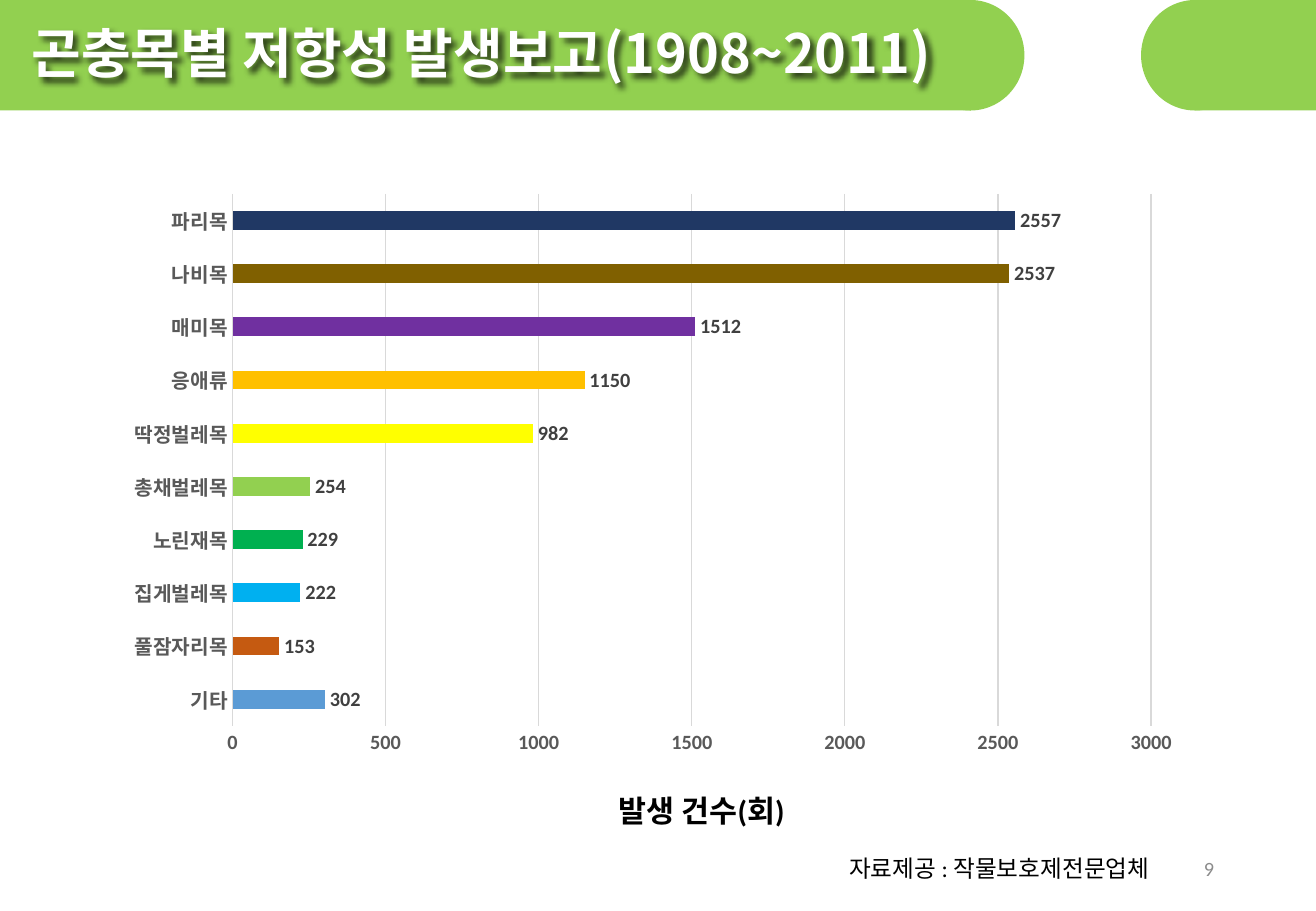
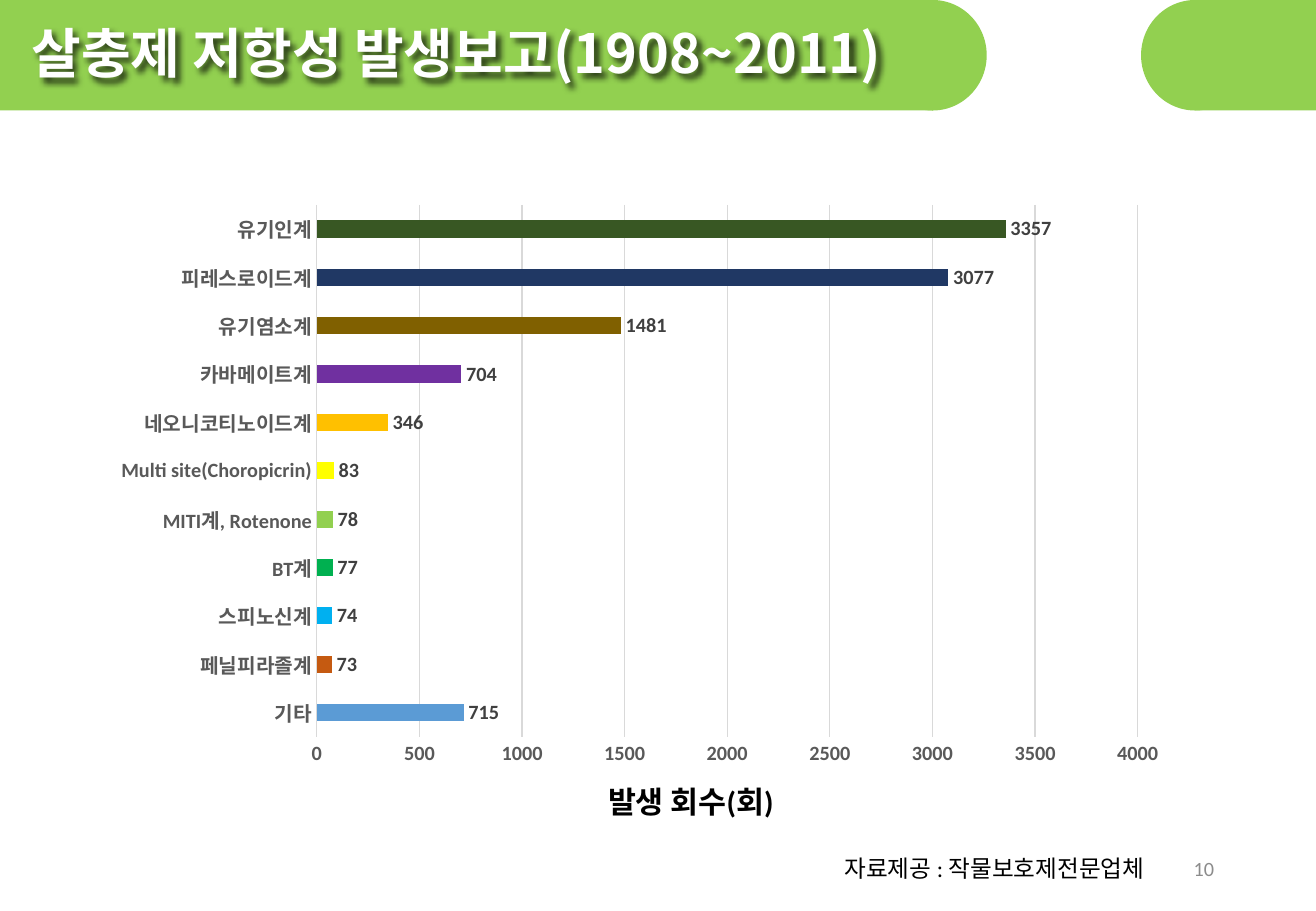
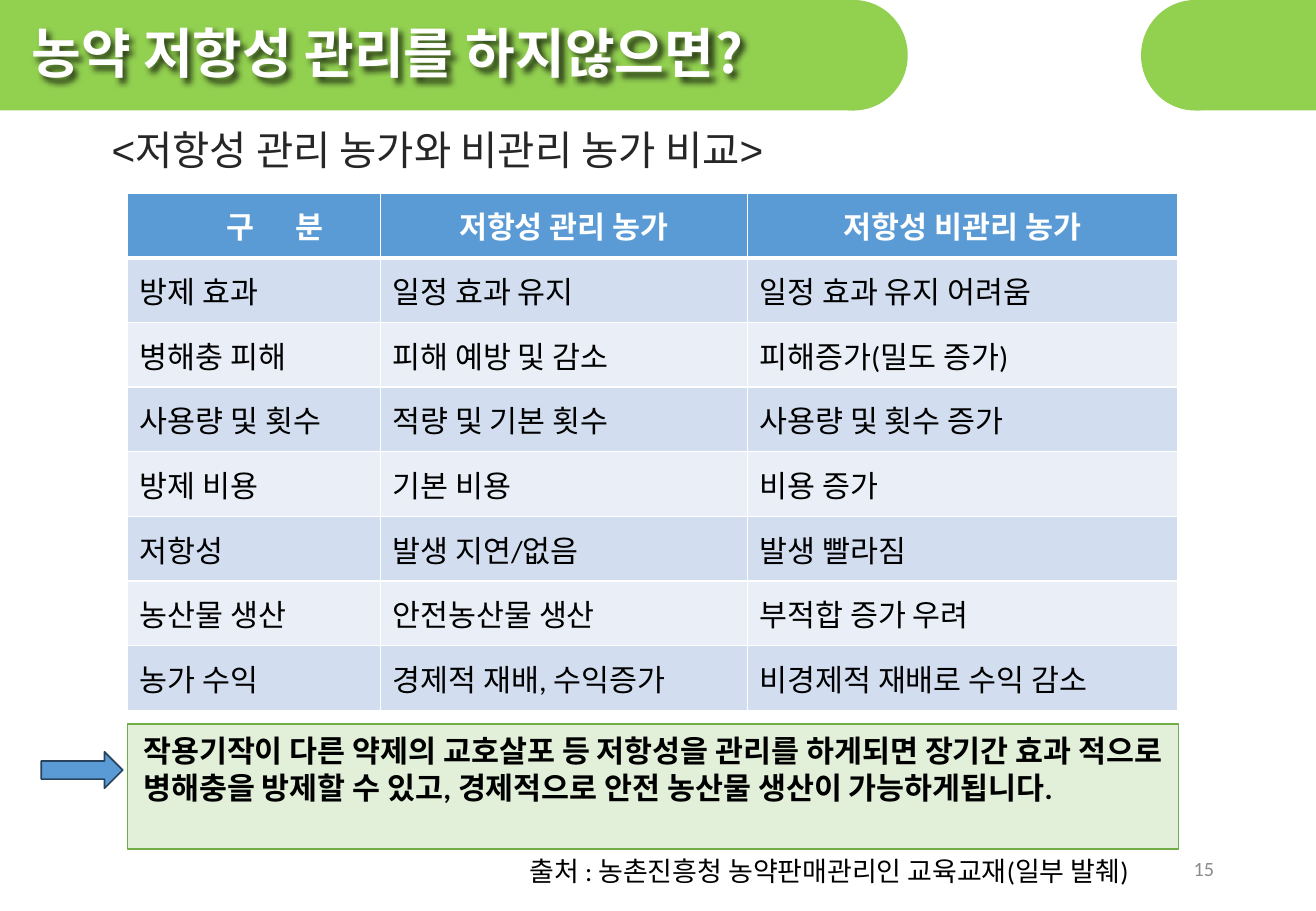
"""Build three slides on pesticide resistance: two bar charts and a comparison table."""
import pptx
import pptx.chart.data
import pptx.dml.color
import pptx.enum.chart
import pptx.enum.shapes
import pptx.enum.text
import pptx.oxml
import pptx.oxml.ns
import pptx.util

Inches = pptx.util.Inches
Pt = pptx.util.Pt
RGBColor = pptx.dml.color.RGBColor
SHAPE = pptx.enum.shapes.MSO_SHAPE
ALIGN = pptx.enum.text.PP_ALIGN
ANCHOR = pptx.enum.text.MSO_ANCHOR
qn = pptx.oxml.ns.qn
NS = pptx.oxml.ns.nsdecls("a")

BLACK = RGBColor(0x00, 0x00, 0x00)
WHITE = RGBColor(0xFF, 0xFF, 0xFF)
BAND_GREEN = RGBColor(0x92, 0xD0, 0x50)
BLUE = RGBColor(0x5B, 0x9B, 0xD5)
ARROW_LINE = RGBColor(0x28, 0x44, 0x5D)
ROW_DARK = RGBColor(0xD2, 0xDE, 0xEF)
ROW_LIGHT = RGBColor(0xEA, 0xEF, 0xF7)
NOTE_FILL = RGBColor(0xE2, 0xF0, 0xD9)
NOTE_LINE = RGBColor(0x70, 0xAD, 0x47)
SUBTITLE_GREY = RGBColor(0x26, 0x26, 0x26)
LABEL_GREY = RGBColor(0x40, 0x40, 0x40)
AXIS_GREY = RGBColor(0x59, 0x59, 0x59)
NUMBER_GREY = RGBColor(0x8C, 0x8C, 0x8C)
GRID_GREY = RGBColor(0xD9, 0xD9, 0xD9)
BAR_COLORS = [BLUE] + [RGBColor.from_string(c) for c in (
    "C55A11", "00B0F0", "00B050", "92D050", "FFFF00",
    "FFC000", "7030A0", "806000", "203864", "385723")]

LATIN = "Calibri"
KOREAN = "Noto Sans CJK KR"
CHART_SOURCE = "자료제공 : 작물보호제전문업체"

ORDERS = [("기타", 302), ("풀잠자리목", 153), ("집게벌레목", 222), ("노린재목", 229),
          ("총채벌레목", 254), ("딱정벌레목", 982), ("응애류", 1150), ("매미목", 1512),
          ("나비목", 2537), ("파리목", 2557)]
INSECTICIDES = [("기타", 715), ("페닐피라졸계", 73), ("스피노신계", 74), ("BT계", 77),
                ("MITI계, Rotenone", 78), ("Multi site(Choropicrin)", 83),
                ("네오니코티노이드계", 346), ("카바메이트계", 704), ("유기염소계", 1481),
                ("피레스로이드계", 3077), ("유기인계", 3357)]
COMPARISON = [
    ("구 분", "저항성 관리 농가", "저항성 비관리 농가"),
    ("방제 효과", "일정 효과 유지", "일정 효과 유지 어려움"),
    ("병해충 피해", "피해 예방 및 감소", "피해증가(밀도 증가)"),
    ("사용량 및 횟수", "적량 및 기본 횟수", "사용량 및 횟수 증가"),
    ("방제 비용", "기본 비용", "비용 증가"),
    ("저항성", "발생 지연/없음", "발생 빨라짐"),
    ("농산물 생산", "안전농산물 생산", "부적합 증가 우려"),
    ("농가 수익", "경제적 재배, 수익증가", "비경제적 재배로 수익 감소"),
]


def write(tf, text, size=18, color=BLACK, bold=False, font=LATIN, align=None, spacing=None):
    """Put one formatted run into a text frame."""
    p = tf.paragraphs[0]
    p.alignment = align
    r = p.add_run()
    r.text = text
    r.font.size = Pt(size)
    r.font.bold = bold
    r.font.color.rgb = color
    r.font.name = font
    rPr = r.font._element
    rPr.append(pptx.oxml.parse_xml(f'<a:ea {NS} typeface="{KOREAN}"/>'))
    if spacing:
        rPr.set("spc", str(spacing * 100))


def add_text(s, box, text, anchor=ANCHOR.TOP, inset=True, **fmt):
    """Add a wrapping text box."""
    sp = s.shapes.add_textbox(*map(Inches, box))
    tf = sp.text_frame
    tf.word_wrap = True
    tf.vertical_anchor = anchor
    if not inset:
        tf.margin_left = tf.margin_right = tf.margin_top = tf.margin_bottom = 0
    write(tf, text, **fmt)
    return sp


def add_shape(s, kind, box, fill, line=None):
    """Add a flat preset shape."""
    sp = s.shapes.add_shape(kind, *map(Inches, box))
    sp.shadow.inherit = False
    sp.fill.solid()
    sp.fill.fore_color.rgb = fill
    if line:
        sp.line.color.rgb = line
        sp.line.width = Pt(1)
    else:
        sp.line.fill.background()


def add_slide(prs, title, cap_left, number):
    """Add a slide with its green bands, title and page number."""
    s = prs.slides.add_slide(prs.slide_layouts[6])
    for left, rect_left, rect_right in ((cap_left, 0, cap_left + 0.45), (9.39, 9.84, 10.83)):
        add_shape(s, SHAPE.OVAL, (left, 0, 0.89, 0.91), BAND_GREEN)
        add_shape(s, SHAPE.RECTANGLE, (rect_left, 0, rect_right - rect_left, 0.91), BAND_GREEN)
    sp = add_text(s, (0.26, 0.14, 7.64, 0.58), title, anchor=ANCHOR.MIDDLE, inset=False,
                  size=32, color=WHITE, bold=True, font=KOREAN)
    sp._element.spPr.append(pptx.oxml.parse_xml(
        f'<a:effectLst {NS}><a:outerShdw blurRad="50800" dist="38100" dir="2700000" algn="tl">'
        '<a:srgbClr val="000000"><a:alpha val="70000"/></a:srgbClr>'
        '</a:outerShdw></a:effectLst>'))
    add_text(s, (7.65, 6.95, 2.44, 0.4), str(number), anchor=ANCHOR.MIDDLE,
             size=12, color=NUMBER_GREY, align=ALIGN.RIGHT)
    return s


def style_font(font, size, color, bold):
    """Format a chart font."""
    font.size = Pt(size)
    font.color.rgb = color
    font.bold = bold
    font.name = LATIN


def add_bar_chart(s, left, top, data, maximum):
    """Add a horizontal bar chart with one colour per bar."""
    cd = pptx.chart.data.CategoryChartData()
    cd.categories = [name for name, _ in data]
    cd.add_series("Series 1", [value for _, value in data])
    chart = s.shapes.add_chart(pptx.enum.chart.XL_CHART_TYPE.BAR_CLUSTERED, Inches(left),
                               Inches(top), Inches(8.89), Inches(4.81), cd).chart
    chart.has_legend = False
    chart.has_title = False
    style_font(chart.font, 10, BLACK, False)
    for axis in (chart.category_axis, chart.value_axis):
        axis.major_tick_mark = axis.minor_tick_mark = pptx.enum.chart.XL_TICK_MARK.NONE
        style_font(axis.tick_labels.font, 12, AXIS_GREY, True)
    grid = chart.value_axis.major_gridlines.format.line
    for line in (chart.category_axis.format.line, grid):
        line.color.rgb = GRID_GREY
        line.width = Pt(0.75)
    chart.value_axis.format.line.fill.background()
    chart.value_axis.minimum_scale = 0
    chart.value_axis.maximum_scale = maximum
    chart.value_axis.major_unit = 500
    plot = chart.plots[0]
    plot.gap_width = 182
    plot.vary_by_categories = False
    series = plot.series[0]
    series.format.fill.solid()
    series.format.fill.fore_color.rgb = BLUE
    for i in range(1, len(data)):
        fill = series.points[i].format.fill
        fill.solid()
        fill.fore_color.rgb = BAR_COLORS[i]
    labels = series.data_labels
    labels.show_value = True
    labels.position = pptx.enum.chart.XL_LABEL_POSITION.OUTSIDE_END
    style_font(labels.font, 12, LABEL_GREY, True)


def set_borders(cell, bottom):
    """Draw white cell borders, with the given bottom width in points."""
    tcPr = cell._tc.get_or_add_tcPr()
    for side, width in (("L", 1), ("R", 1), ("T", 1), ("B", bottom)):
        tcPr.append(pptx.oxml.parse_xml(
            f'<a:ln{side} {NS} w="{Pt(width)}"><a:solidFill>'
            f'<a:srgbClr val="{WHITE}"/></a:solidFill></a:ln{side}>'))


def add_table(s, box, rows, widths):
    """Add a table with a blue header and banded rows."""
    table = s.shapes.add_table(len(rows), len(widths), *map(Inches, box)).table
    table.horz_banding = False
    for column, width in zip(table.columns, widths):
        column.width = Inches(width)
    for i, row in enumerate(rows):
        header = i == 0
        for j, text in enumerate(row):
            cell = table.cell(i, j)
            cell.vertical_anchor = ANCHOR.MIDDLE
            set_borders(cell, 3 if header else 1)
            cell.fill.solid()
            cell.fill.fore_color.rgb = BLUE if header else ROW_DARK if i % 2 else ROW_LIGHT
            write(cell.text_frame, text, bold=header, color=WHITE if header else BLACK,
                  align=ALIGN.CENTER if header else None,
                  spacing=10 if header and j == 0 else None)
    table.cell(0, 0).margin_left = Inches(0.45)


def add_chart_slide(prs, title, cap_left, number, chart_at, data, maximum,
                    axis_title, axis_title_at, source_left):
    """Add a slide holding a bar chart, its axis title and its source."""
    s = add_slide(prs, title, cap_left, number)
    add_bar_chart(s, *chart_at, data, maximum)
    add_text(s, (*axis_title_at, 2.33, 0.4), axis_title, bold=True, align=ALIGN.CENTER)
    add_text(s, (source_left, 6.98, 3.7, 0.34), CHART_SOURCE, size=14)


def add_comparison_slide(prs):
    """Add the slide that compares managed and unmanaged farms."""
    s = add_slide(prs, "농약 저항성 관리를 하지않으면?", 6.58, 15)
    add_text(s, (0.82, 0.98, 8.91, 0.5), "<저항성 관리 농가와 비관리 농가 비교>",
             size=24, color=SUBTITLE_GREY, font="Arial")
    add_shape(s, SHAPE.RECTANGLE, (1.05, 5.96, 8.65, 1.03), NOTE_FILL, NOTE_LINE)
    add_text(s, (1.08, 5.98, 8.65, 1.01),
             "작용기작이 다른 약제의 교호살포 등 저항성을 관리를 하게되면 장기간 효과 "
             "적으로 병해충을 방제할 수 있고, 경제적으로 안전 농산물 생산이 가능하게됩니다.",
             bold=True)
    add_table(s, (1.05, 1.59, 8.64, 4.26), COMPARISON, (2.08, 3.02, 3.54))
    add_shape(s, SHAPE.RIGHT_ARROW, (0.34, 6.19, 0.67, 0.3), BLUE, ARROW_LINE)
    add_text(s, (4.26, 6.99, 6.24, 0.37),
             "출처 : 농촌진흥청 농약판매관리인 교육교재(일부 발췌)", size=16)


def main():
    """Build and save the presentation."""
    prs = pptx.Presentation()
    prs.slide_width = Inches(10.83)
    prs.slide_height = Inches(7.5)
    add_chart_slide(prs, "곤충목별 저항성 발생보고(1908~2011)", 7.54, 9, (0.93, 1.5),
                    ORDERS, 3000, "발생 건수(회)", (4.61, 6.47), 6.89)
    add_chart_slide(prs, "살충제 저항성 발생보고(1908~2011)", 7.23, 10, (0.82, 1.59),
                    INSECTICIDES, 4000, "발생 회수(회)", (4.52, 6.4), 6.85)
    add_comparison_slide(prs)
    prs.save("out.pptx")


if __name__ == "__main__":
    main()
